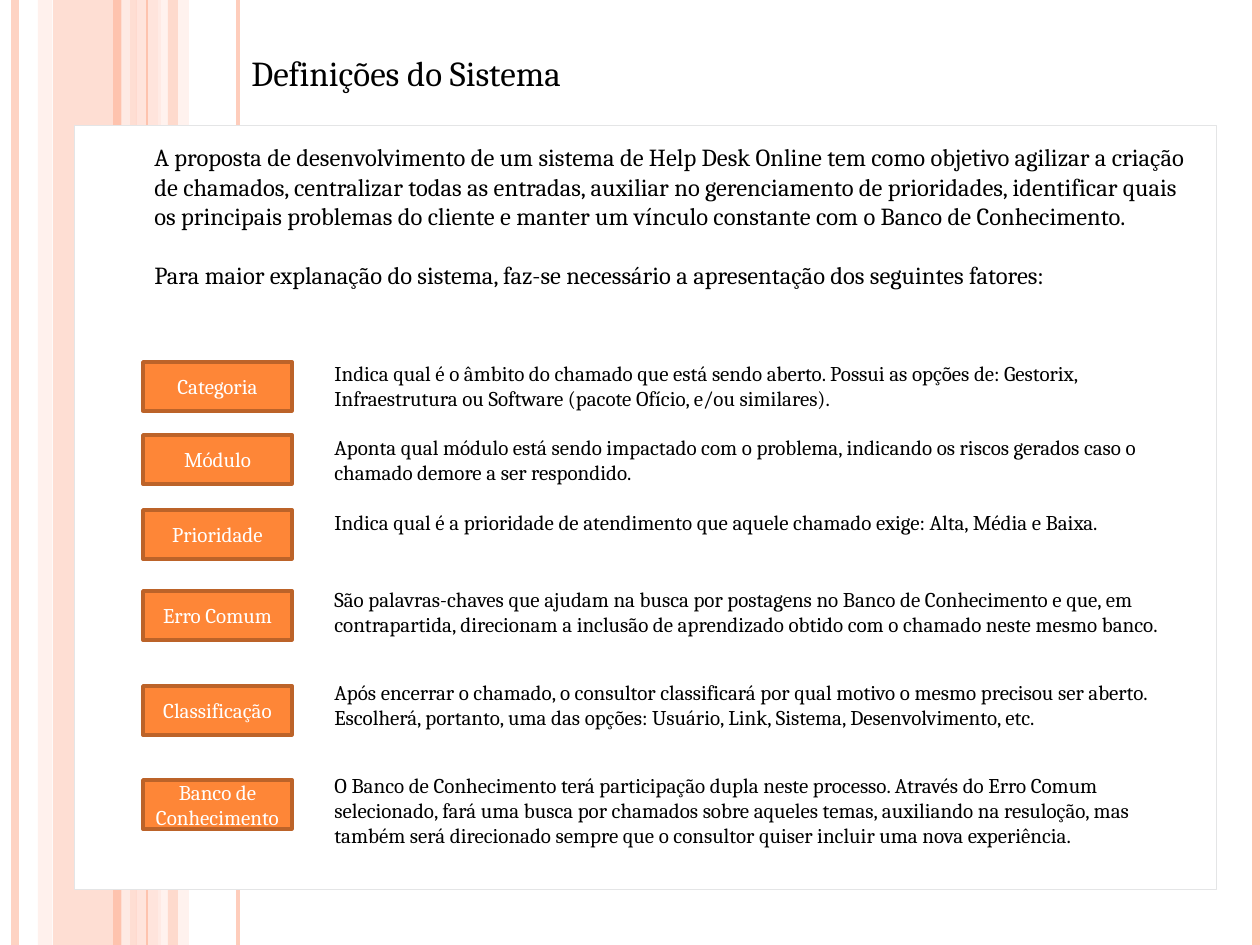
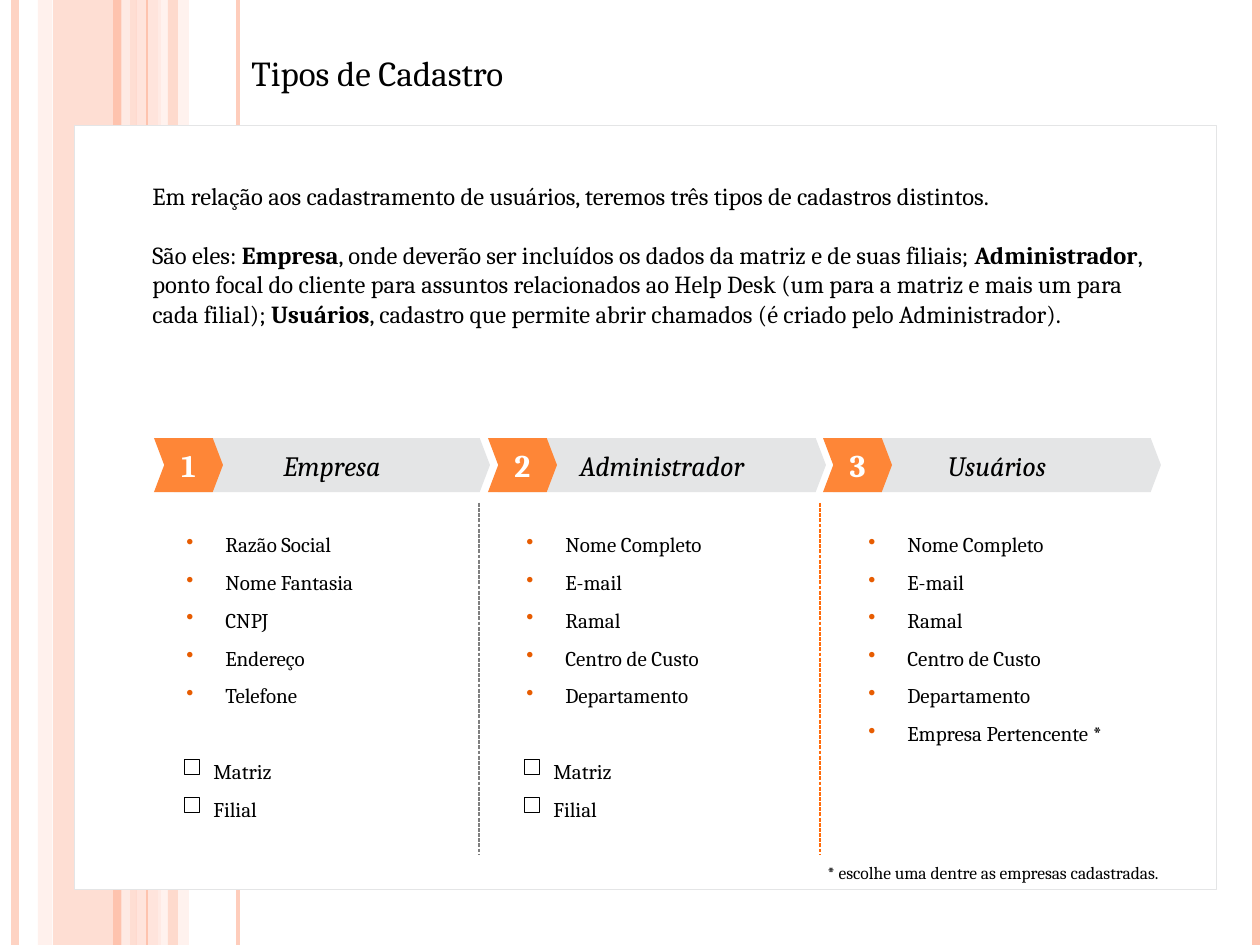
from lxml import etree
from pptx import Presentation, util as u
from pptx.dml.color import RGBColor as RGB
from pptx.enum import dml, shapes, text
from pptx.oxml.ns import qn

FONT = "Cambria"
BLACK, WHITE = RGB(0, 0, 0), RGB(255, 255, 255)
PEACH = RGB(0xFE, 0xC3, 0xAE)
BLUSH = RGB(0xFF, 0xD9, 0xCE)
PALE = RGB(0xFF, 0xED, 0xE8)
GREY = RGB(0xE4, 0xE5, 0xE6)
DIM = RGB(0x7F, 0x7F, 0x7F)
ORANGE = RGB(0xFE, 0x86, 0x37)
RUST = RGB(0xBC, 0x63, 0x29)
DOT = RGB(0xE7, 0x5C, 0x01)
DASH = RGB(0xFF, 0x6B, 0x0A)
WIDE, HIGH = 1260, 945
RECT = shapes.MSO_SHAPE.RECTANGLE
CHEVRON = shapes.MSO_SHAPE.CHEVRON
LEFT, MID = text.PP_ALIGN.LEFT, text.PP_ALIGN.CENTER

# x, width, colour, opacity of the side bands
BANDS = [(53, 84, PEACH, 54), (38, 14, BLUSH, 36),
         (136, 25, BLUSH, 70), (158, 31, PALE, 71)]
# x, points, colour, opacity of the side lines
LINES = [(15, 4.5, PEACH, 73), (126, 4.5, PALE, 83), (117, 4.5, PEACH, 100),
         (238, 2.25, PEACH, 82), (147, 0.75, PEACH, 100),
         (1256, 4.5, PEACH, 100)]

AIM = [
    [("A proposta de desenvolvimento de um sistema de Help Desk Online tem "
      "como objetivo agilizar a criação de chamados, centralizar todas as "
      "entradas, auxiliar no gerenciamento de prioridades, identificar quais "
      "os principais problemas do cliente e manter um vínculo constante com "
      "o Banco de Conhecimento.", False)],
    [("Para maior explanação do sistema, faz-se necessário a apresentação "
      "dos seguintes fatores:", False)],
]
# button top, note top, term, note
TERMS = [
    (362, 354, "Categoria",
     "Indica qual é o âmbito do chamado que está sendo aberto. Possui as "
     "opções de: Gestorix, Infraestrutura ou Software (pacote Ofício, e/ou "
     "similares)."),
    (435, 428, "Módulo",
     "Aponta qual módulo está sendo impactado com o problema, indicando os "
     "riscos gerados caso o chamado demore a ser respondido."),
    (510, 503, "Prioridade",
     "Indica qual é a prioridade de atendimento que aquele chamado exige: "
     "Alta, Média e Baixa."),
    (591, 580, "Erro Comum",
     "São palavras-chaves que ajudam na busca por postagens no Banco de "
     "Conhecimento e que, em contrapartida, direcionam a inclusão de "
     "aprendizado obtido com o chamado neste mesmo banco."),
    (686, 673, "Classificação",
     "Após encerrar o chamado, o consultor classificará por qual motivo o "
     "mesmo precisou ser aberto. Escolherá, portanto, uma das opções: "
     "Usuário, Link, Sistema, Desenvolvimento, etc."),
    (780, 766, "Banco de Conhecimento",
     "O Banco de Conhecimento terá participação dupla neste processo. "
     "Através do Erro Comum selecionado, fará uma busca por chamados sobre "
     "aqueles temas, auxiliando na resuloção, mas também será direcionado "
     "sempre que o consultor quiser incluir uma nova experiência."),
]
KINDS = [
    [("Em relação aos cadastramento de usuários, teremos três tipos de "
      "cadastros distintos.", False)],
    [("São eles: ", False), ("Empresa", True),
     (", onde deverão ser incluídos os dados da matriz e de suas filiais; ",
      False),
     ("Administrador", True),
     (", ponto focal do cliente para assuntos relacionados ao Help Desk (um "
      "para a matriz e mais um para cada filial); ", False),
     ("Usuários", True),
     (", cadastro que permite abrir chamados (é criado pelo Administrador).",
      False)],
]
STAFF = ["Nome Completo", "E-mail", "Ramal", "Centro de Custo", "Departamento"]
SITES = ["Matriz", "Filial"]
# tag x, bar x, bar width, list x, list width, name, fields, choices
STEPS = [
    (154, 174, 316, 174, 215, "Empresa",
     ["Razão Social", "Nome Fantasia", "CNPJ", "Endereço", "Telefone"], SITES),
    (488, 498, 328, 514, 224, "Administrador", STAFF, SITES),
    (823, 833, 328, 856, 307, "Usuários",
     STAFF + ["Empresa Pertencente *"], []),
]


def px(n):
    return u.Emu(round(n * 914400 / 126))


def fade(part, pct):
    if pct < 100:
        for clr in part.element.spPr.iter(qn("a:srgbClr")):
            etree.SubElement(clr, qn("a:alpha")).set("val", str(pct * 1000))


def shape(sld, kind, box, fill=None, edge=None, wide=0.25):
    shp = sld.shapes.add_shape(kind, *map(px, box))
    shp.shadow.inherit = False
    if fill is None:
        shp.fill.background()
    else:
        shp.fill.solid()
        shp.fill.fore_color.rgb = fill
    if edge is None:
        shp.line.fill.background()
    else:
        shp.line.color.rgb = edge
        shp.line.width = u.Pt(wide)
    return shp


def rule(sld, x, top, end, wide, color, pct=100, dash=None):
    line = sld.shapes.add_connector(
        shapes.MSO_CONNECTOR.STRAIGHT, px(x), px(top), px(x), px(end))
    line.line.color.rgb = color
    line.line.width = u.Pt(wide)
    if dash:
        line.line.dash_style = dash
    etree.SubElement(line.element.spPr, qn("a:effectLst"))
    fade(line, pct)


def add_run(par, words, size, color=BLACK, bold=False, slant=False):
    run = par.add_run()
    run.text = words
    font = run.font
    font.name, font.size, font.bold, font.italic = FONT, u.Pt(size), bold, slant
    font.color.rgb = color


def label(shp, words, size, color, **style):
    frame = shp.text_frame
    frame.word_wrap = True
    frame.vertical_anchor = text.MSO_ANCHOR.MIDDLE
    par = frame.paragraphs[0]
    par.alignment = MID
    add_run(par, words, size, color, **style)


def prose(sld, box, paras, size, gap=0):
    frame = sld.shapes.add_textbox(*map(px, box)).text_frame
    frame.word_wrap = True
    for i, runs in enumerate(paras):
        par = frame.add_paragraph() if i else frame.paragraphs[0]
        par.alignment = LEFT
        if i and gap:
            par.space_before = u.Pt(gap)
        for words, bold in runs:
            add_run(par, words, size, bold=bold)
    return frame


def indent(par, left, hang=0):
    props = par._p.get_or_add_pPr()
    props.set("marL", str(px(left)))
    props.set("indent", str(-px(hang)))
    return props


def bullet(par):
    props = indent(par, 39, 39)
    color = etree.SubElement(props, qn("a:buClr"))
    etree.SubElement(color, qn("a:srgbClr")).set("val", str(DOT))
    etree.SubElement(props, qn("a:buChar")).set("char", "•")


def base(deck, title):
    sld = deck.slides.add_slide(deck.slide_layouts[6])
    # Side bands and lines
    for x, wide, color, pct in BANDS:
        fade(shape(sld, RECT, (x, 0, wide, HIGH), color), pct)
    for x, wide, color, pct in LINES:
        rule(sld, x, 0, HIGH, wide, color, pct)
    fade(shape(sld, RECT, (168, 0, 10, HIGH), PEACH), 51)
    # Panel and title
    shape(sld, RECT, (74, 125, 1142, 764), WHITE, GREY)
    prose(sld, (239, 45, 700, 55), [[(title, False)]], 20)
    return sld


def term(sld, x, top, low, name, note):
    btn = shape(sld, RECT, (x, top, 149, 49), ORANGE, RUST, 2)
    frame = btn.text_frame
    frame.margin_left = frame.margin_right = 0
    frame.margin_top = frame.margin_bottom = px(5)
    label(btn, name, 12, WHITE)
    prose(sld, (x + 179, low, 853, 64), [[(note, False)]], 12)


def banner(sld, tag, bar, y, wide, num, name):
    for x, span, fill, words, size, color, style in (
            (bar, wide, GREY, name, 16, BLACK, {"slant": True}),
            (tag, 69, ORANGE, str(num), 18, WHITE, {"bold": True})):
        shp = shape(sld, CHEVRON, (x, y, span, 54), fill)
        shp.adjustments[0] = 0.19
        label(shp, words, size, color, **style)


def fields(sld, x, y, wide, names, picks):
    paras = [[(name, False)] for name in names + picks]
    frame = prose(sld, (x, y, wide, 38 * len(paras) + 13), paras, 12)
    for i, par in enumerate(frame.paragraphs):
        par.line_spacing = 1.5
        if i < len(names):
            bullet(par)
            continue
        indent(par, 27)
        if i == len(names):
            par.space_before = u.Pt(21.7)
        # Tick box
        shape(sld, RECT, (x + 10, y + 56 + 38 * i, 15, 15), None, BLACK)


def terms(deck):
    sld = base(deck, "Definições do Sistema")
    prose(sld, (142, 136, 1056, 190), AIM, 14, 16.8)
    for top, low, name, note in TERMS:
        term(sld, 143, top, low, name, note)


def kinds(deck):
    sld = base(deck, "Tipos de Cadastro")
    prose(sld, (140, 175, 1022, 190), KINDS, 14, 16.8)
    # Dividers
    for x, color in ((479, DIM), (820, DASH)):
        rule(sld, x, 503, 854, 0.75, color, dash=dml.MSO_LINE.SQUARE_DOT)
    # Three columns
    for num, (tag, bar, span, x, wide, name, names, picks) in enumerate(STEPS, 1):
        banner(sld, tag, bar, 438, span, num, name)
        fields(sld, x, 513, wide, names, picks)
    # Footnote
    prose(sld, (815, 856, 411, 34),
          [[("* escolhe uma dentre as empresas cadastradas.", False)]], 10)


def main():
    deck = Presentation()
    deck.slide_width, deck.slide_height = px(WIDE), px(HIGH)
    terms(deck)
    kinds(deck)
    deck.save("out.pptx")


if __name__ == "__main__":
    main()
